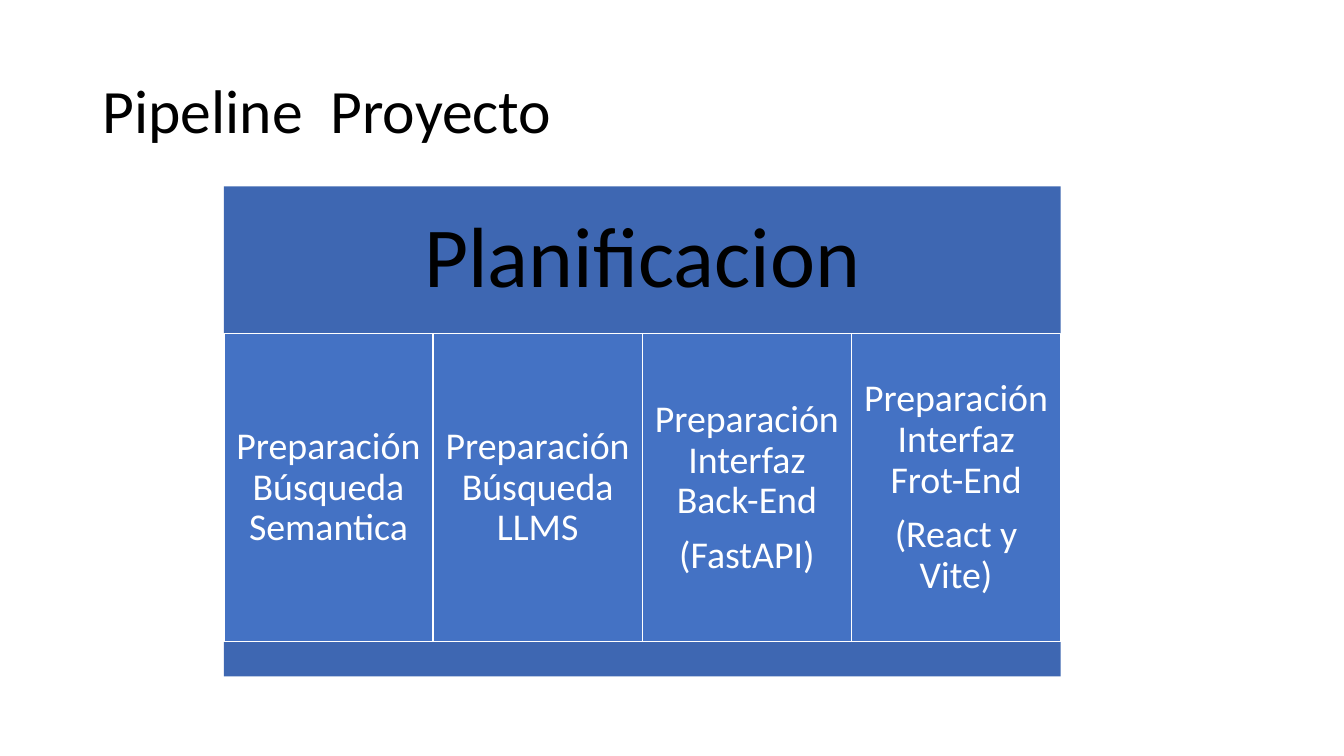
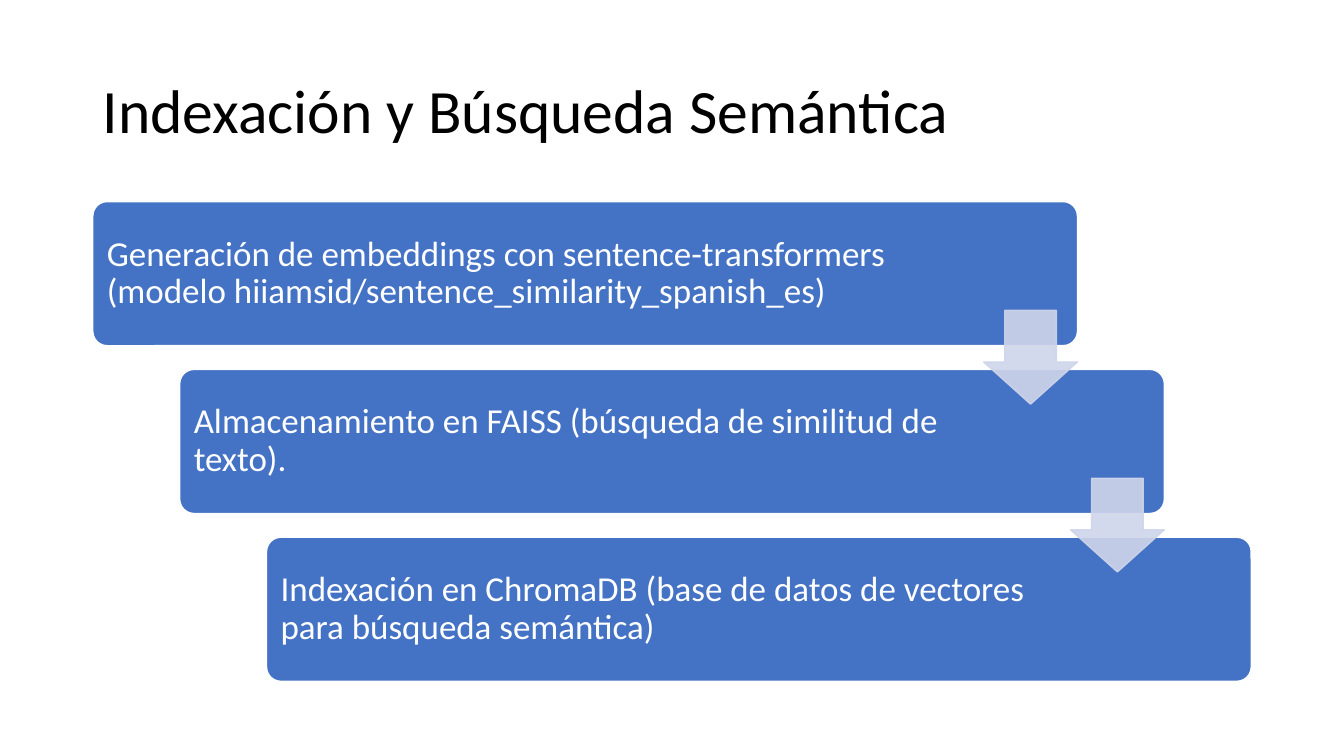
from lxml import etree
from pptx import Presentation
from pptx.dml.color import RGBColor
from pptx.enum.shapes import MSO_SHAPE
from pptx.enum.text import MSO_ANCHOR, PP_ALIGN
from pptx.oxml.ns import qn
from pptx.util import Inches, Pt

RECTANGLE = MSO_SHAPE.RECTANGLE
ROUNDED = MSO_SHAPE.ROUNDED_RECTANGLE
DOWN_ARROW = MSO_SHAPE.DOWN_ARROW
LEFT, CENTER = PP_ALIGN.LEFT, PP_ALIGN.CENTER
MIDDLE = MSO_ANCHOR.MIDDLE

SLIDE_WIDTH, SLIDE_HEIGHT = 13.33, 7.5
MARGIN = 0.92
CONTENT_WIDTH = SLIDE_WIDTH - 2 * MARGIN
FONT = "Calibri"
BLACK, WHITE = "000000", "FFFFFF"
BLUE, DARK_BLUE, PALE_BLUE = "4472C4", "3E67B2", "CFD5EA"

PHASES = [
    ["Preparación Búsqueda Semantica"],
    ["Preparación Búsqueda LLMS"],
    ["Preparación Interfaz Back-End", "(FastAPI)"],
    ["Preparación Interfaz Frot-End", "(React y Vite)"],
]
STEPS = [
    "Generación de embeddings con sentence-transformers "
    "(modelo hiiamsid/sentence_similarity_spanish_es)",
    "Almacenamiento en FAISS (búsqueda de similitud de texto).",
    "Indexación en ChromaDB (base de datos de vectores para búsqueda semántica)",
]


def color(value):
    return RGBColor.from_string(value)


def write(box, paragraphs, size, ink=WHITE, align=LEFT, insets=(0.1, 0.05, 0.1, 0.05), after=0.35):
    """Fill a box with text; insets run left, top, right, bottom, after is a share of size."""
    frame = box.text_frame
    frame.word_wrap = True
    frame.vertical_anchor = MIDDLE
    frame.margin_left, frame.margin_top, frame.margin_right, frame.margin_bottom = map(Inches, insets)
    for index, text in enumerate(paragraphs):
        para = frame.paragraphs[0] if index == 0 else frame.add_paragraph()
        para.alignment = align
        para.line_spacing = 0.9
        para.space_after = Pt(size * after)
        span = para.add_run()
        span.text = text
        span.font.name = FONT
        span.font.size = Pt(size)
        span.font.color.rgb = color(ink)


def add_box(page, kind, left, top, width, height, fill, line=None, adjustments=()):
    box = page.shapes.add_shape(kind, *map(Inches, (left, top, width, height)))
    box.shadow.inherit = False
    box.fill.solid()
    box.fill.fore_color.rgb = color(fill)
    if line:
        box.line.color.rgb = color(line)
        box.line.width = Pt(1)
    else:
        box.line.fill.background()
    for index, value in enumerate(adjustments):
        box.adjustments[index] = value
    return box


def set_opacity(box, percent):
    """Make the fill and the line of a box see-through."""
    for tint in box.fill._xPr.iter(qn("a:srgbClr")):
        etree.SubElement(tint, qn("a:alpha")).set("val", str(percent * 1000))


def add_page(deck, title):
    page = deck.slides.add_slide(deck.slide_layouts[6])
    box = page.shapes.add_textbox(*map(Inches, (MARGIN, 0.4, CONTENT_WIDTH, 1.45)))
    write(box, [title], 44, ink=BLACK, after=0)
    return page


def add_planning_table(page):
    """Heading band, one column per phase, and a closing band."""
    left, top, width = 2.22, 1.85, 8.3
    heading_height, column_height, footer_height = 1.46, 3.06, 0.34
    column_top = top + heading_height
    column_width = width / len(PHASES)

    heading = add_box(page, RECTANGLE, left, top, width, heading_height, DARK_BLUE)
    write(heading, ["Planificacion"], 61, ink=BLACK, align=CENTER, insets=[0.25] * 4)
    for column, paragraphs in enumerate(PHASES):
        box = add_box(page, RECTANGLE, left + column * column_width, column_top,
                      column_width, column_height, BLUE, line=WHITE)
        write(box, paragraphs, 27, align=CENTER, insets=[0.1] * 4)
    add_box(page, RECTANGLE, left, column_top + column_height, width, footer_height, DARK_BLUE)


def add_staircase(page):
    """Steps that move right and down, with an arrow from each to the next."""
    top, height, drop = 2, 1.43, 1.665
    width = CONTENT_WIDTH * 0.85
    shift = (CONTENT_WIDTH - width) / (len(STEPS) - 1)
    arrow_size = 0.93

    for row, text in enumerate(STEPS):
        box = add_box(page, ROUNDED, MARGIN + row * shift, top + row * drop, width, height,
                      BLUE, line=WHITE, adjustments=[0.1])
        write(box, [text], 25, insets=(0.1, 0.1, 1.6, 0.1))
    for row in range(len(STEPS) - 1):
        right = MARGIN + row * shift + width
        arrow = add_box(page, DOWN_ARROW, right - arrow_size, top + 1.08 + row * drop,
                        arrow_size, arrow_size, PALE_BLUE, line=PALE_BLUE,
                        adjustments=[0.55, 0.45])
        set_opacity(arrow, 90)


def main():
    deck = Presentation()
    deck.slide_width, deck.slide_height = Inches(SLIDE_WIDTH), Inches(SLIDE_HEIGHT)
    add_planning_table(add_page(deck, "Pipeline  Proyecto"))
    add_staircase(add_page(deck, "Indexación y Búsqueda Semántica"))
    deck.save("out.pptx")


if __name__ == "__main__":
    main()
